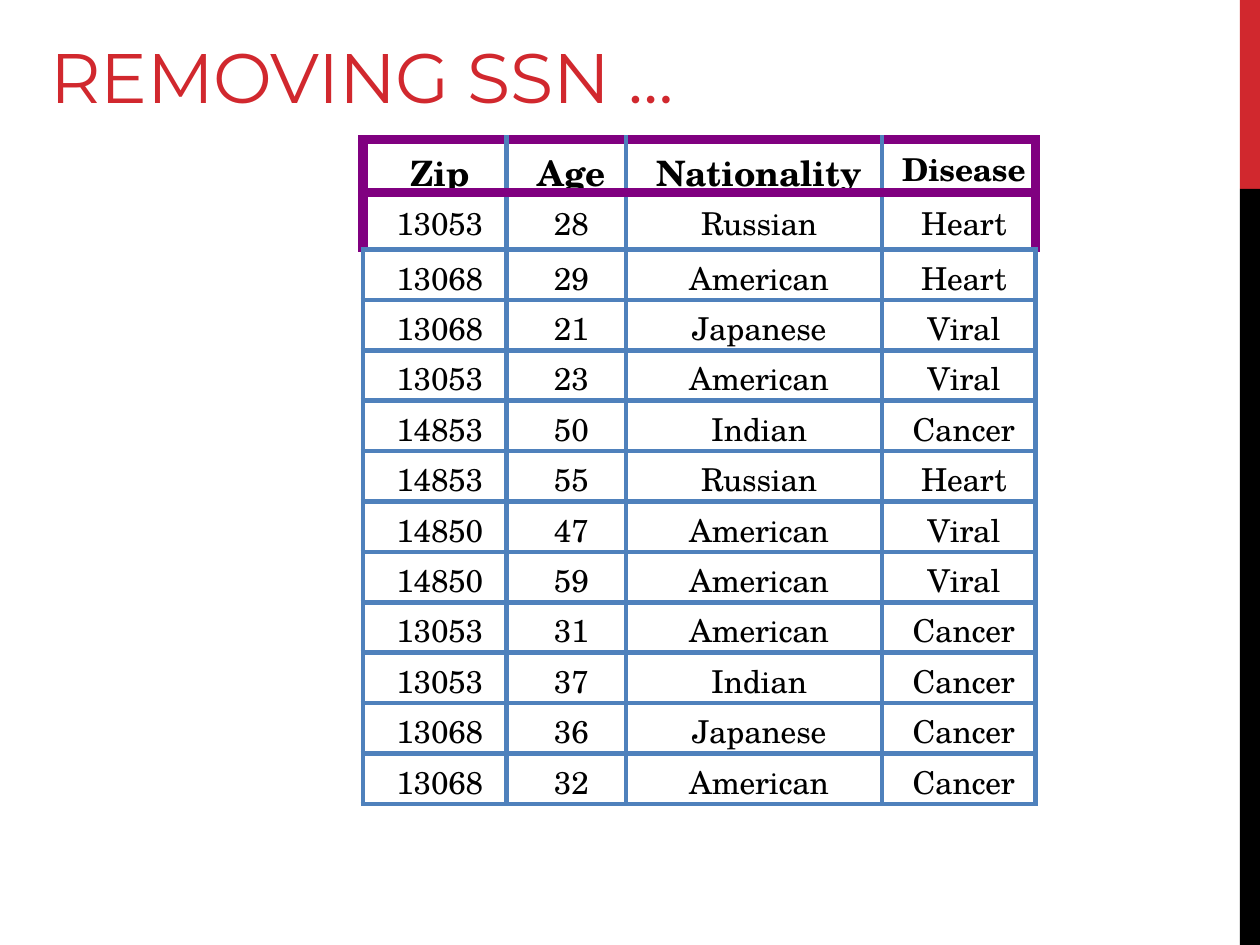
from dataclasses import dataclass

from lxml import etree
from pptx import Presentation
from pptx.dml.color import RGBColor
from pptx.enum.shapes import MSO_SHAPE
from pptx.enum.text import MSO_ANCHOR, MSO_AUTO_SIZE, PP_ALIGN
from pptx.oxml.ns import qn
from pptx.util import Inches, Pt

RECT = MSO_SHAPE.RECTANGLE
BOTTOM = MSO_ANCHOR.BOTTOM
GROW = MSO_AUTO_SIZE.SHAPE_TO_FIT_TEXT
CENTER = PP_ALIGN.CENTER
WIDE, HIGH = Inches(10), Inches(7.5)


@dataclass(frozen=True)
class Theme:
    red: str = "D1282E"
    black: str = "000000"
    blue: str = "4F81BC"
    purple: str = "800080"
    title_font: str = "Montserrat"
    table_font: str = "TeX Gyre Schola"
    title_size: int = 40
    head_size: int = 20
    body_size: int = 18
    thin: int = 3
    thick: int = 6


THEME = Theme()

COLS = (1.14, 0.95, 2.03, 1.22)
ROWS = (0.42, 0.45) + (0.4,) * 11
DATA = (
    ("Zip", "Age", "Nationality", "Disease"),
    ("13053", "28", "Russian", "Heart"),
    ("13068", "29", "American", "Heart"),
    ("13068", "21", "Japanese", "Viral"),
    ("13053", "23", "American", "Viral"),
    ("14853", "50", "Indian", "Cancer"),
    ("14853", "55", "Russian", "Heart"),
    ("14850", "47", "American", "Viral"),
    ("14850", "59", "American", "Viral"),
    ("13053", "31", "American", "Cancer"),
    ("13053", "37", "Indian", "Cancer"),
    ("13068", "36", "Japanese", "Cancer"),
    ("13068", "32", "American", "Cancer"),
)


def add_run(para, text, font, size, color, bold=False):
    run = para.add_run()
    run.text = text
    run.font.name = font
    run.font.size = Pt(size)
    run.font.bold = bold
    run.font.color.rgb = RGBColor.from_string(color)
    run.font._element.set("spc", "-10")


def add_bar(slide, top, share, color):
    """Part of the stripe on the right edge, in shares of the slide height."""
    left = int(WIDE * 0.984)
    bar = slide.shapes.add_shape(
        RECT, left, int(HIGH * top), WIDE - left, int(HIGH * share))
    bar.shadow.inherit = False
    bar.fill.solid()
    bar.fill.fore_color.rgb = RGBColor.from_string(color)
    bar.line.fill.background()


def add_title(slide, text):
    box = slide.shapes.add_textbox(
        Inches(0.4), Inches(0.24), Inches(6.48), Inches(0.69))
    frame = box.text_frame
    frame.word_wrap = True
    frame.auto_size = GROW
    frame.vertical_anchor = BOTTOM
    frame.margin_left = frame.margin_right = frame.margin_bottom = 0
    frame.margin_top = Inches(0.01)
    add_run(frame.paragraphs[0], text, THEME.title_font,
            THEME.title_size, THEME.red)


def set_edges(cell, strong):
    """Draw all four borders; the sides named in strong are thick purple."""
    props = cell._tc.get_or_add_tcPr()
    for place, side in enumerate("LRTB"):
        color, width = ((THEME.purple, THEME.thick) if side in strong
                        else (THEME.blue, THEME.thin))
        line = etree.Element(qn(f"a:ln{side}"), w=str(Pt(width)))
        fill = etree.SubElement(line, qn("a:solidFill"))
        etree.SubElement(fill, qn("a:srgbClr"), val=color)
        props.insert(place, line)


def find_strong(row, col):
    """The header is framed, and its frame runs down beside the first record."""
    if row > 1:
        return ""
    sides = "TB" if row == 0 else "T"
    if col == 0:
        sides += "L"
    if col == len(COLS) - 1:
        sides += "R"
    return sides


def fill_cell(cell, text, row, col):
    cell.fill.background()
    cell.margin_left = cell.margin_right = cell.margin_bottom = 0
    cell.margin_top = Inches(0.06 if row == 1 else 0.04)
    para = cell.text_frame.paragraphs[0]
    para.alignment = CENTER
    para._p.get_or_add_pPr().set("marL", str(Inches(0.08)))
    head = row == 0
    large = head and col < len(COLS) - 1
    add_run(para, text, THEME.table_font,
            THEME.head_size if large else THEME.body_size, THEME.black, head)
    set_edges(cell, find_strong(row, col))


def add_grid(slide):
    frame = slide.shapes.add_table(
        len(ROWS), len(COLS), Inches(2.88), Inches(1.11),
        Inches(sum(COLS)), Inches(sum(ROWS)))
    table = frame.table
    table.first_row = table.horz_banding = False
    for column, width in zip(table.columns, COLS):
        column.width = Inches(width)
    for line, height in zip(table.rows, ROWS):
        line.height = Inches(height)
    for row, texts in enumerate(DATA):
        for col, text in enumerate(texts):
            fill_cell(table.cell(row, col), text, row, col)


def main():
    deck = Presentation()
    deck.slide_width, deck.slide_height = WIDE, HIGH
    slide = deck.slides.add_slide(deck.slide_layouts[6])
    # Stripe on the right edge
    add_bar(slide, 0, 0.2, THEME.red)
    add_bar(slide, 0.2, 0.8, THEME.black)
    # Title and records
    add_title(slide, "REMOVING SSN …")
    add_grid(slide)
    deck.save("out.pptx")


if __name__ == "__main__":
    main()
